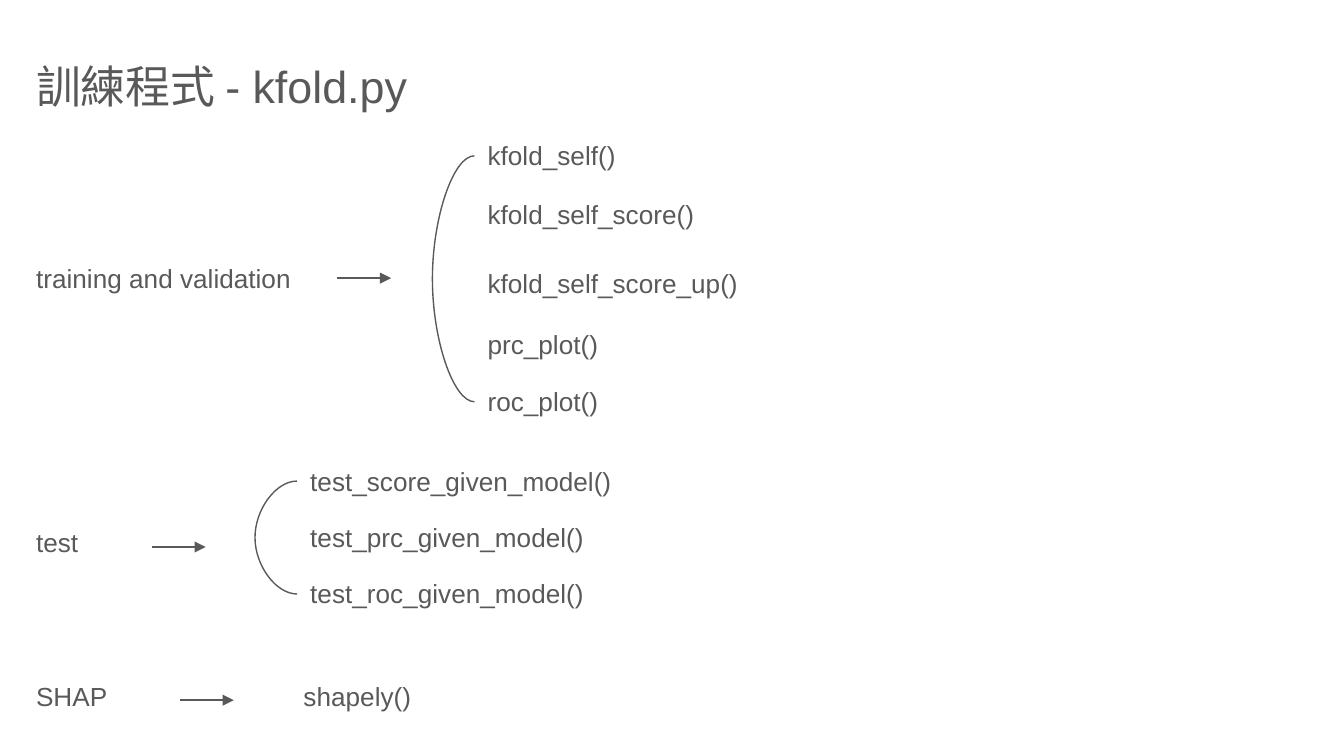
import pptx
import pptx.dml.color
import pptx.enum.shapes
import pptx.enum.text
import pptx.util
from lxml import etree
from pptx.oxml.ns import qn

Inches = pptx.util.Inches

# Content: each stage leads to its functions
TITLE = "訓練程式 - kfold.py"
STAGES = [
    {"label": "training and validation", "label_width": 2.88, "top": 1.85,
     "arrow": (2.51, 2.07), "functions_left": 3.53,
     "functions": [("kfold_self()", 0.94), ("kfold_self_score()", 1.38),
                   ("kfold_self_score_up()", 1.89), ("prc_plot()", 2.34),
                   ("roc_plot()", 2.77)]},
    {"label": "test", "label_width": 0.7, "top": 3.82,
     "arrow": (1.13, 4.07), "functions_left": 2.21,
     "functions": [("test_score_given_model()", 3.36),
                   ("test_prc_given_model()", 3.78),
                   ("test_roc_given_model()", 4.2)]},
    {"label": "SHAP", "label_width": 1.16, "top": 4.96,
     "arrow": (1.34, 5.21), "functions_left": 2.16,
     "functions": [("shapely()", 4.96)]},
]

THEME = {"font": "Arial", "ink": pptx.dml.color.RGBColor.from_string("595959"),
         "title": 24, "body": 14, "line": 0.75}

# Layout, in inches
SLIDE_WIDTH = 10
SLIDE_HEIGHT = SLIDE_WIDTH * 9 / 16
MARGIN, INSET = 0.17, 0.1
ROW_HEIGHT, FUNCTION_WIDTH, ARROW_LENGTH = 0.44, 4.94, 0.4
BRACKET_WIDTH, BRACKET_BULGE = 600, -39687500  # EMU; bulge in 1/100000 of width

deck = pptx.Presentation()
deck.slide_width, deck.slide_height = Inches(SLIDE_WIDTH), Inches(SLIDE_HEIGHT)
page = deck.slides.add_slide(deck.slide_layouts[6])


def add_text(text, left, top, width, height=ROW_HEIGHT, size=THEME["body"]):
    box = page.shapes.add_textbox(*map(Inches, (left, top, width, height)))
    frame = box.text_frame
    frame.word_wrap = True
    frame.auto_size = pptx.enum.text.MSO_AUTO_SIZE.SHAPE_TO_FIT_TEXT
    frame.margin_left = frame.margin_right = Inches(INSET)
    frame.margin_top = frame.margin_bottom = Inches(INSET)
    para = frame.paragraphs[0]
    para.text = text
    para.font.name = THEME["font"]
    para.font.size = pptx.util.Pt(size)
    para.font.color.rgb = THEME["ink"]
    return box


def add_line(kind, *ends):
    line = page.shapes.add_connector(kind, *ends)
    line.line.color.rgb = THEME["ink"]
    line.line.width = pptx.util.Pt(THEME["line"])
    etree.SubElement(line._element.spPr, qn("a:effectLst"))
    return line


def add_arrow(left, top):
    ends = map(Inches, (left, top, left + ARROW_LENGTH, top))
    arrow = add_line(pptx.enum.shapes.MSO_CONNECTOR.STRAIGHT, *ends)
    etree.SubElement(arrow.line._get_or_add_ln(), qn("a:tailEnd"), type="triangle")


def add_bracket(first, last):
    """Curve between the left sides of two boxes, bulging to the left."""
    bracket = add_line(pptx.enum.shapes.MSO_CONNECTOR.CURVE,
                       first.left, first.top + first.height // 2,
                       last.left, last.top + last.height // 2)
    bracket.begin_connect(first, 1)
    bracket.end_connect(last, 1)
    bracket.width = BRACKET_WIDTH
    adjustments = bracket._element.spPr.find(qn("a:prstGeom")).find(qn("a:avLst"))
    etree.SubElement(adjustments, qn("a:gd"), name="adj1", fmla=f"val {BRACKET_BULGE}")


# Title
add_text(TITLE, MARGIN, 0.34, 3.94, 0.61, THEME["title"])

# Stages: label, arrow, functions and a bracket around several functions
for stage in STAGES:
    add_text(stage["label"], MARGIN, stage["top"], stage["label_width"])
    add_arrow(*stage["arrow"])
    boxes = [add_text(name, stage["functions_left"], top, FUNCTION_WIDTH)
             for name, top in stage["functions"]]
    if len(boxes) > 1:
        add_bracket(boxes[0], boxes[-1])

deck.save("out.pptx")
